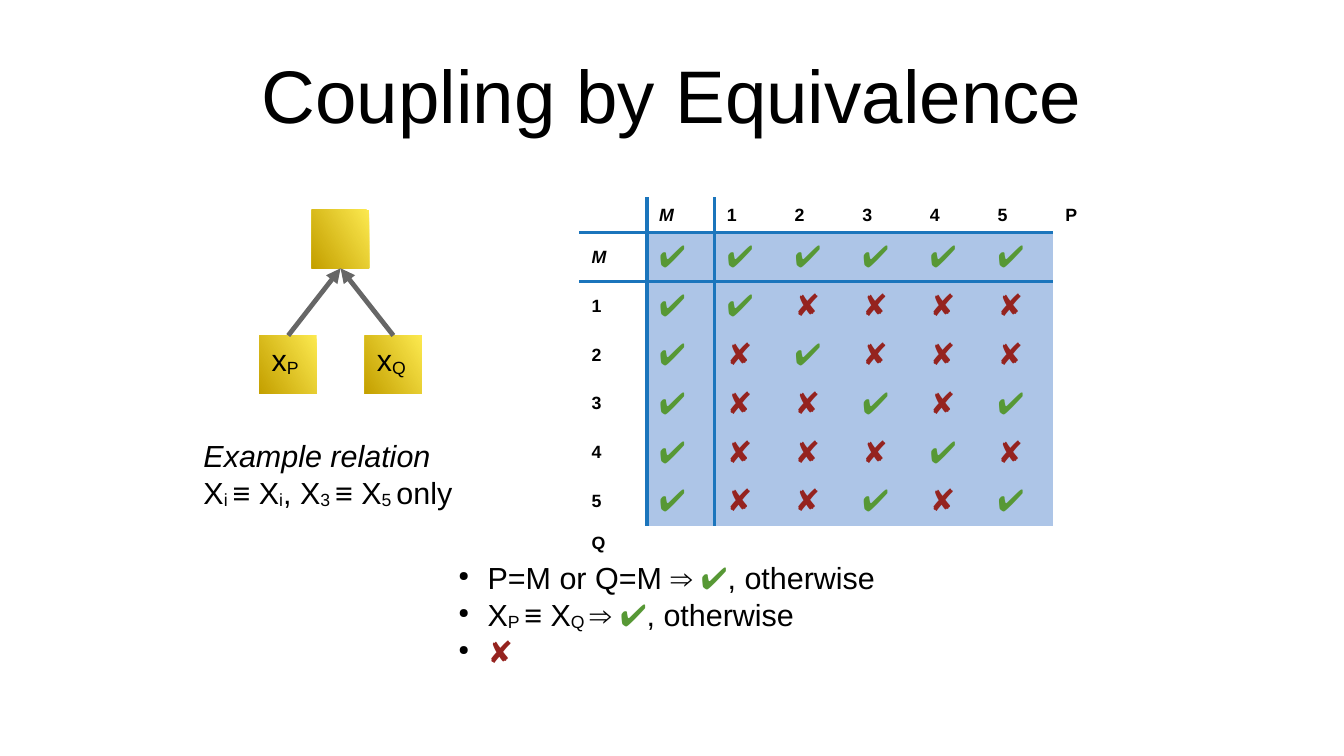
from dataclasses import dataclass

from lxml import etree
from pptx import Presentation
from pptx import util as u
from pptx.dml.color import RGBColor
from pptx.enum import shapes, text
from pptx.oxml import ns

BLACK = RGBColor(0x00, 0x00, 0x00)
GREEN = RGBColor(0x57, 0x98, 0x35)
RED = RGBColor(0x95, 0x23, 0x1F)
RULE_BLUE = RGBColor(0x1B, 0x75, 0xBC)
CELL_BLUE = RGBColor(0xAD, 0xC5, 0xE7)
YELLOW = RGBColor(0xFC, 0xE9, 0x4F)
GOLD = RGBColor(0xC4, 0xA0, 0x00)
GRAY = RGBColor(0x66, 0x66, 0x66)

FONT = "Arial"
PLAIN_TABLE = "{2D5ABB26-0587-4C30-8999-92F81FD0307C}"
YES, NO = "✔", "✘"
STATES = ["M", "1", "2", "3", "4", "5"]


@dataclass(frozen=True)
class Span:
    text: str
    color: RGBColor = BLACK
    lowered: bool = False
    italic: bool = False


@dataclass(frozen=True)
class Node:
    left: float
    top: float
    label: str = ""


def sub(words: str) -> Span:
    return Span(words, lowered=True)


ROOT = Node(6.5, 4.37)
LEAVES = [Node(5.41, 6.99, "P"), Node(7.6, 6.99, "Q")]
RELATION = [
    [Span("Example relation", italic=True)],
    [Span("X"), sub("i "), Span("≡ X"), sub("i"), Span(", X"), sub("3 "),
     Span("≡ X"), sub("5 "), Span("only")],
]
RULES = [
    [Span("P=M or Q=M ⇒ "), Span(YES, GREEN), Span(", otherwise")],
    [Span("X"), sub("P "), Span("≡ X"), sub("Q "), Span("⇒ "),
     Span(YES, GREEN), Span(", otherwise")],
    [Span(NO, RED)],
]


def add_xml(parent, tag: str, **attributes: str):
    element = etree.SubElement(parent, ns.qn(tag))
    for name, value in attributes.items():
        element.set(name, value)
    return element


def write(para, words: str, *, size: float = 18, color: RGBColor = BLACK,
          bold: bool = False, italic: bool = False, lowered: bool = False) -> None:
    span = para.add_run()
    span.text = words
    font = span.font
    font.name, font.size = FONT, u.Pt(size)
    font.bold, font.italic = bold, italic
    font.color.rgb = color
    if lowered:
        span._r.get_or_add_rPr().set("baseline", "-8000")


def add_bullet(para) -> None:
    props = para._p.get_or_add_pPr()
    props.set("marL", str(u.Cm(0.61)))
    props.set("indent", str(u.Cm(-0.61)))
    add_xml(add_xml(props, "a:buClr"), "a:srgbClr", val=str(BLACK))
    add_xml(props, "a:buSzPct", val="45000")
    add_xml(props, "a:buChar", char="●")


def add_text(page, left: float, top: float, width: float, height: float,
             lines: list[list[Span]], bulleted: bool = False) -> None:
    box = page.shapes.add_textbox(u.Cm(left), u.Cm(top), u.Cm(width), u.Cm(height))
    frame = box.text_frame
    frame.word_wrap = True
    for index, spans in enumerate(lines):
        para = frame.add_paragraph() if index else frame.paragraphs[0]
        if bulleted:
            add_bullet(para)
        for span in spans:
            write(para, span.text, color=span.color,
                  lowered=span.lowered, italic=span.italic)


def add_title(page) -> None:
    box = page.shapes.add_textbox(u.Cm(1.4), u.Cm(0.64), u.Cm(25.2), u.Cm(2.64))
    frame = box.text_frame
    frame.word_wrap = True
    frame.vertical_anchor = text.MSO_ANCHOR.MIDDLE
    frame.margin_left = frame.margin_right = frame.margin_top = frame.margin_bottom = 0
    frame.paragraphs[0].alignment = text.PP_ALIGN.CENTER
    write(frame.paragraphs[0], "Coupling by Equivalence", size=44)


def add_node(page, node: Node):
    box = page.shapes.add_shape(shapes.MSO_SHAPE.RECTANGLE, u.Cm(node.left),
                                u.Cm(node.top), u.Cm(1.19), u.Cm(1.22))
    box.shadow.inherit = False
    box.line.fill.background()
    box.fill.gradient()
    box.fill.gradient_angle = 210
    for stop, color in zip(box.fill.gradient_stops, (YELLOW, GOLD)):
        stop.color.rgb = color
    if node.label:
        frame = box.text_frame
        frame.vertical_anchor = text.MSO_ANCHOR.TOP
        para = frame.paragraphs[0]
        para.alignment = text.PP_ALIGN.LEFT
        write(para, "x")
        write(para, node.label, lowered=True)
    return box


def add_arrow(page, leaf, root) -> None:
    arrow = page.shapes.add_connector(shapes.MSO_CONNECTOR.STRAIGHT, 0, 0, 0, 0)
    arrow.begin_connect(leaf, 0)
    arrow.end_connect(root, 2)
    arrow.line.color.rgb = GRAY
    arrow.line.width = u.Pt(2.83)
    add_xml(arrow.line._get_or_add_ln(), "a:tailEnd", type="triangle")
    add_xml(arrow._element.spPr, "a:effectLst")


def add_borders(cell, sides: str) -> None:
    props = cell._tc.get_or_add_tcPr()
    for side in sides:
        line = add_xml(props, f"a:ln{side}", w=str(u.Pt(2.27)))
        add_xml(add_xml(line, "a:solidFill"), "a:srgbClr", val=str(RULE_BLUE))


def is_coupled(p: str, q: str) -> bool:
    return "M" in (p, q) or p == q or {p, q} == {"3", "5"}


def add_grid(page) -> None:
    across, down = ["", *STATES, "P"], ["", *STATES, "Q"]
    count, last = len(across), len(STATES)
    grid = page.shapes.add_table(count, count, u.Cm(12.07), u.Cm(4.11),
                                 u.Cm(11.28), u.Cm(6.46)).table
    grid.first_row = grid.horz_banding = False
    grid._tbl.tblPr.find(ns.qn("a:tableStyleId")).text = PLAIN_TABLE
    for column in grid.columns:
        column.width = u.Cm(1.41)
    for row, q in enumerate(down):
        grid.rows[row].height = u.Cm(0.83 if q in STATES else 0.74)
        for col, p in enumerate(across):
            cell = grid.cell(row, col)
            cell.vertical_anchor = text.MSO_ANCHOR.MIDDLE
            add_borders(cell, ("LR" if col == 1 and row <= last else "")
                        + ("TB" if row == 1 and col <= last else ""))
            para = cell.text_frame.paragraphs[0]
            if p in STATES and q in STATES:
                cell.fill.solid()
                cell.fill.fore_color.rgb = CELL_BLUE
                coupled = is_coupled(p, q)
                write(para, YES if coupled else NO, color=GREEN if coupled else RED)
                continue
            cell.fill.background()
            header = p if row == 0 else q if col == 0 else ""
            if header:
                write(para, header, size=10.5, bold=True, italic=header == "M")
            else:
                add_xml(para._p, "a:endParaRPr", sz="1050")


def main() -> None:
    deck = Presentation()
    deck.slide_width, deck.slide_height = u.Cm(28), u.Cm(15.75)
    page = deck.slides.add_slide(deck.slide_layouts[6])
    add_title(page)
    add_grid(page)
    add_text(page, 9.3, 11.53, 9.4, 2.67, RULES, bulleted=True)
    add_text(page, 3.99, 8.99, 6.6, 2.21, RELATION)
    root = add_node(page, ROOT)
    for leaf in LEAVES:
        add_arrow(page, add_node(page, leaf), root)
    deck.save("out.pptx")


if __name__ == "__main__":
    main()
